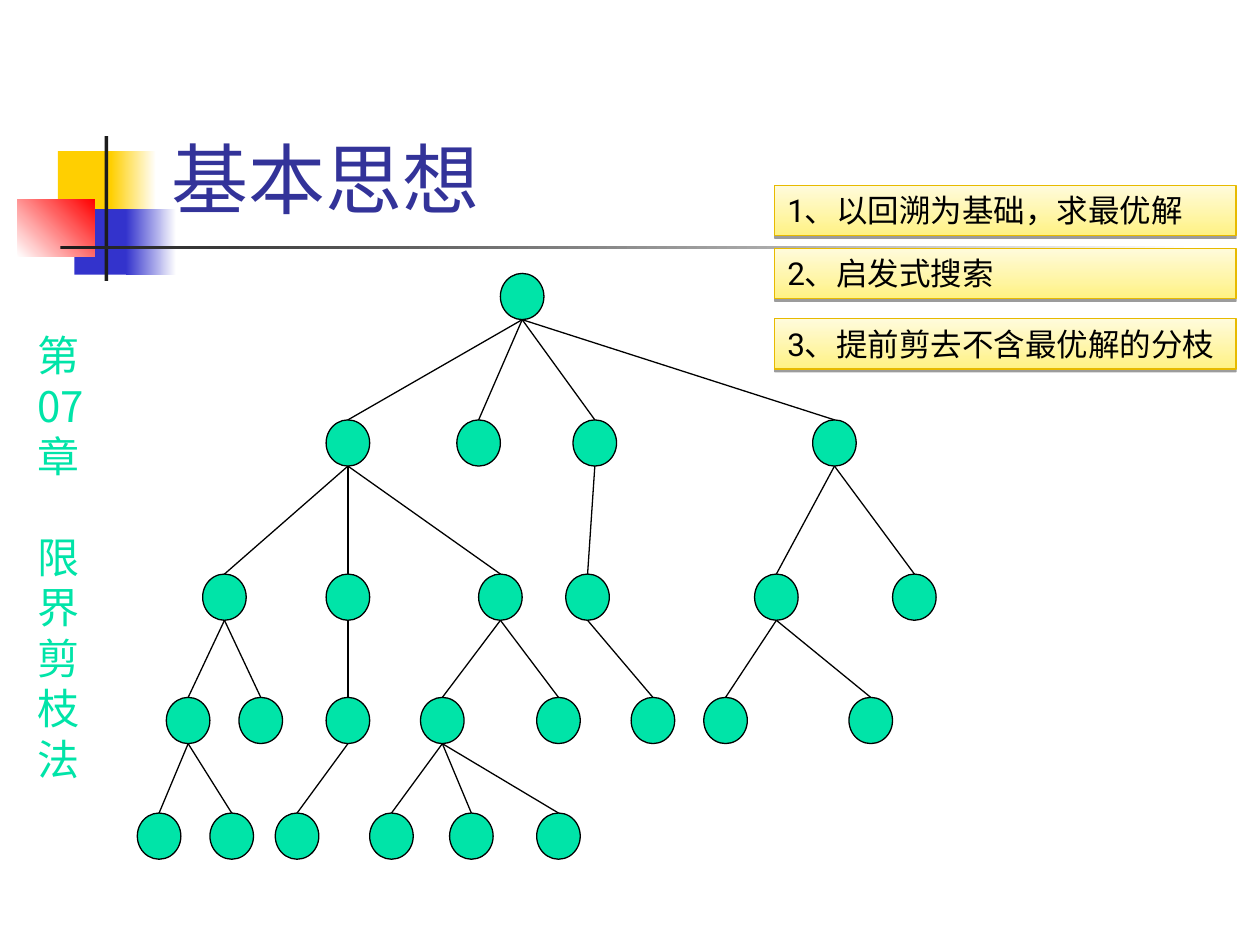
"""Builds the slide on the basic idea of branch and bound."""
from dataclasses import dataclass

from lxml import etree
from pptx import Presentation
from pptx import util as u
from pptx.dml.color import RGBColor
from pptx.enum import shapes, text
from pptx.oxml.ns import qn


@dataclass(frozen=True)
class Theme:
    """Colours, fonts and type sizes of the slide."""
    yellow: str = "FFCF01"
    blue: str = "3333CC"
    red: str = "FF0000"
    dark: str = "1C1C1C"
    white: str = "FFFFFF"
    black: str = "000000"
    title: str = "333399"
    green: str = "00E4A8"
    note_deep: str = "FFF284"
    note_pale: str = "FFFBDC"
    note_line: str = "E7BA00"
    font: str = "Roboto"
    chapter_font: str = "Noto Sans CJK JP"
    title_size: float = 44
    chapter_size: float = 24
    note_size: float = 18
    chapter_pitch: float = 28.8
    line_width: float = 0.75


@dataclass(frozen=True)
class Box:
    """An area in inches, divided into columns and rows."""
    left: float
    top: float
    width: float
    height: float
    columns: int = 1
    rows: int = 1

    def point(self, column, row):
        """Return the position of a grid point."""
        return (u.Inches(self.left + self.width * column / self.columns),
                u.Inches(self.top + self.height * row / self.rows))

    def area(self, column=0, row=0, columns=None, rows=None):
        """Return left, top, width and height of a block of cells."""
        columns = self.columns if columns is None else columns
        rows = self.rows if rows is None else rows
        return (*self.point(column, row),
                u.Inches(self.width * columns / self.columns),
                u.Inches(self.height * rows / self.rows))


THEME = Theme()
RECTANGLE = shapes.MSO_SHAPE.RECTANGLE
OVAL = shapes.MSO_SHAPE.OVAL
NODE = 6
TREE = [
    (0, [(50, None)]),
    (19, [(26, 0), (44, 0), (60, 0), (93, 0)]),
    (39, [(9, 0), (26, 0), (47, 0), (59, 2), (85, 3), (104, 3)]),
    (55, [(4, 0), (14, 0), (26, 1), (39, 2), (55, 2), (68, 3), (78, 4), (98, 4)]),
    (70, [(0, 0), (10, 0), (19, 2), (32, 3), (43, 3), (55, 3)]),
]


def rgb(colour):
    """Turn a hex string into a colour."""
    return RGBColor.from_string(colour)


def paint(shape, colours, angle=0, line=None):
    """Fill a shape plainly or with a gradient and set its outline."""
    shape.shadow.inherit = False
    if len(colours) == 1:
        shape.fill.solid()
        shape.fill.fore_color.rgb = rgb(colours[0])
    else:
        shape.fill.gradient()
        shape.fill.gradient_angle = angle
        for stop, colour in zip(shape.fill.gradient_stops, colours):
            stop.color.rgb = rgb(colour)
    if line:
        shape.line.color.rgb = rgb(line)
        shape.line.width = u.Pt(THEME.line_width)
    else:
        shape.line.fill.background()


def style(paragraph, font, size, colour):
    """Align a paragraph left and format its runs."""
    paragraph.alignment = text.PP_ALIGN.LEFT
    for run in paragraph.runs:
        run.font.name = font
        run.font.size = u.Pt(size)
        run.font.color.rgb = rgb(colour)
        etree.SubElement(run.font._element, qn("a:ea"), typeface=font)


def drop_shadow(shape):
    """Give a shape a short, sharp shadow below it."""
    effects = shape._element.spPr.find(qn("a:effectLst"))
    shadow = etree.SubElement(effects, qn("a:outerShdw"), blurRad="0",
                              dist=str(u.Pt(1.6)), dir="5400000", rotWithShape="0")
    colour = etree.SubElement(shadow, qn("a:srgbClr"), val=THEME.black)
    etree.SubElement(colour, qn("a:alpha"), val="38000")


def add_decoration(slide, box):
    """Draw the coloured blocks and the fading rule of the header."""
    blocks = [
        ((32, 12, 48, 52), [THEME.yellow], 0),
        ((74, 12, 36, 52), [THEME.yellow, THEME.white], 0),
        ((45, 58, 46, 52), [THEME.blue], 0),
        ((86, 58, 40, 52), [THEME.blue, THEME.white], 0),
        ((0, 50, 61, 46), [THEME.white, THEME.red], 45),
        ((69, 0, 3, 115), [THEME.dark], 0),
        ((34, 87, 900, 3), [THEME.dark, THEME.white], 0),
    ]
    for cells, colours, angle in blocks:
        paint(slide.shapes.add_shape(RECTANGLE, *box.area(*cells)), colours, angle)


def add_title(slide, box, wording):
    """Place the title at the bottom of its box."""
    title = slide.shapes.title
    title.left, title.top, title.width, title.height = box.area()
    frame = title.text_frame
    frame.text = wording
    frame.vertical_anchor = text.MSO_ANCHOR.BOTTOM
    style(frame.paragraphs[0], THEME.font, THEME.title_size, THEME.title)


def add_chapter(slide, box, parts):
    """Stack the chapter name down the side, with a gap between parts."""
    frame = slide.shapes.add_textbox(*box.area()).text_frame
    frame.word_wrap = False
    frame.text = "\n".join(line for part in parts for line in part)
    for paragraph in frame.paragraphs:
        paragraph.line_spacing = u.Pt(THEME.chapter_pitch)
        style(paragraph, THEME.chapter_font, THEME.chapter_size, THEME.green)
    frame.paragraphs[len(parts[0])].space_before = u.Pt(THEME.chapter_pitch)


def add_tree(slide, box):
    """Draw the search tree, joining each node to its parent."""
    group = slide.shapes.add_group_shape()
    for row, nodes in TREE:
        for column, _ in nodes:
            node = group.shapes.add_shape(OVAL, *box.area(column, row, NODE, NODE))
            paint(node, [THEME.green], line=THEME.black)
    for (upper_row, parents), (row, nodes) in zip(TREE, TREE[1:]):
        for column, parent in nodes:
            start = box.point(parents[parent][0] + NODE / 2, upper_row + NODE)
            end = box.point(column + NODE / 2, row)
            branch = group.shapes.add_connector(shapes.MSO_CONNECTOR.STRAIGHT, *start, *end)
            branch.line.color.rgb = rgb(THEME.black)
            branch.line.width = u.Pt(THEME.line_width)
            etree.SubElement(branch._element.spPr, qn("a:effectLst"))


def add_note(slide, box, wording):
    """Draw one yellow note with its text."""
    note = slide.shapes.add_shape(RECTANGLE, *box.area())
    paint(note, [THEME.note_deep, THEME.note_pale], 90, THEME.note_line)
    drop_shadow(note)
    frame = note.text_frame
    frame.text = wording
    frame.word_wrap = True
    frame.vertical_anchor = text.MSO_ANCHOR.TOP
    style(frame.paragraphs[0], THEME.font, THEME.note_size, THEME.black)


def main():
    """Build and save the presentation."""
    presentation = Presentation()
    presentation.slide_width, presentation.slide_height = u.Inches(10), u.Inches(7.5)
    slide = presentation.slides.add_slide(presentation.slide_layouts[5])
    add_decoration(slide, Box(0.14, 1.08, 9.34, 1.15, 934, 115))
    add_chapter(slide, Box(0.2, 2.57, 0.58, 3.7), [["第", "07", "章"], list("限界剪枝法")])
    add_title(slide, Box(1.26, 0.23, 8.52, 1.6), "基本思想")
    add_tree(slide, Box(1.09, 2.17, 6.34, 4.65, 110, 76))
    notes = [(1.47, "1、以回溯为基础，求最优解"), (1.97, "2、启发式搜索"),
             (2.53, "3、提前剪去不含最优解的分枝")]
    for top, wording in notes:
        add_note(slide, Box(6.15, top, 3.66, 0.4), wording)
    presentation.save("out.pptx")


if __name__ == "__main__":
    main()
